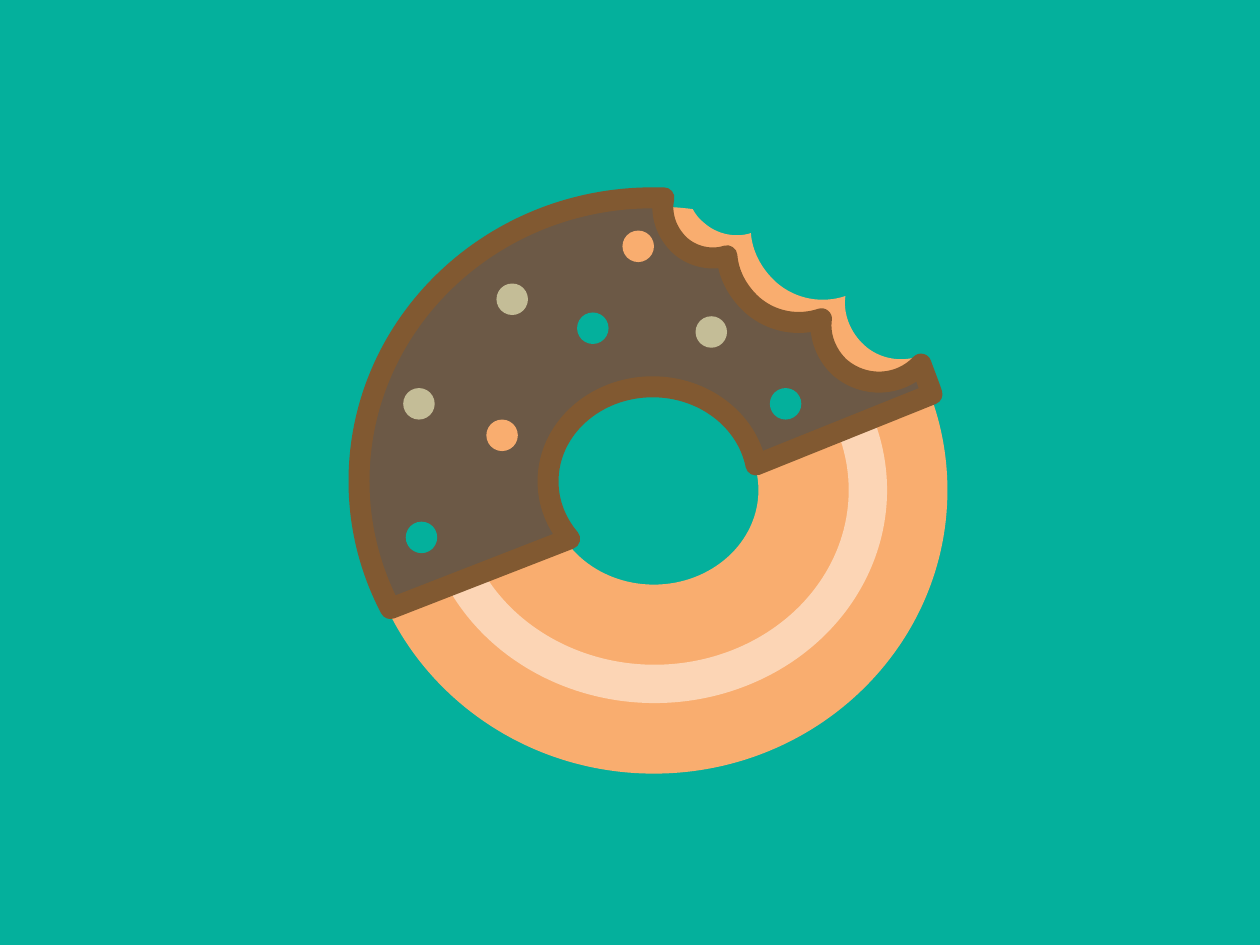
import math
from dataclasses import dataclass
from itertools import pairwise

import pptx
import pptx.dml.color
import pptx.enum.shapes
import pptx.oxml.ns
import pptx.util
from lxml import etree

PX = 9144
SLIDE_WIDTH, SLIDE_HEIGHT = 1000, 750
COLORS = {
    "teal": "04B09C",
    "dough": "F9AD6F",
    "highlight": "FCD5B5",
    "chocolate": "6C5946",
    "rim": "815931",
    "cream": "C4BD97",
}
Point = tuple[float, float]
Segment = tuple[Point, ...]


@dataclass
class Frame:
    left: int
    top: int
    width: int
    height: int


@dataclass
class Contour:
    start: Point
    segments: list[Segment]


@dataclass
class Sprinkle:
    left: int
    top: int
    color: str


OUTER, HOLE = (233, 225), (83, 75)
DOUGH_CENTER, GLAZE_CENTER = (519, 389), (518, 382)
DOUGH_FRAME = Frame(286, 164, 467, 450)
GLAZE_FRAME = Frame(248, 163, 464, 244)
GLAZE_ANGLE = -21.6
BITES: list[Segment] = [
    ((569, 186), (584, 189), (596, 185)),
    ((597, 199), (604, 213), (616, 224)),
    ((632, 238), (653, 241), (671, 235)),
    ((669, 249), (675, 264), (686, 274)),
]
GLAZE_BITE_SHIFT = (-19, 18)
SPRINKLE_SIZE = 25
SPRINKLES = [
    Sprinkle(394, 225, "cream"),
    Sprinkle(611, 308, "teal"),
    Sprinkle(322, 414, "teal"),
    Sprinkle(494, 183, "dough"),
    Sprinkle(320, 308, "cream"),
    Sprinkle(386, 333, "dough"),
    Sprinkle(458, 248, "teal"),
    Sprinkle(552, 251, "cream"),
]


def emu(length: float) -> int:
    return round(length * PX)


def rgb(name: str) -> pptx.dml.color.RGBColor:
    return pptx.dml.color.RGBColor.from_string(COLORS[name])


def arc(center: Point, radii: Point, *degrees: float) -> list[Segment]:
    segments = []
    for start, end in pairwise(map(math.radians, degrees)):
        reach = 4 / 3 * math.tan((end - start) / 4)
        circle = (
            (math.cos(start) - reach * math.sin(start), math.sin(start) + reach * math.cos(start)),
            (math.cos(end) + reach * math.sin(end), math.sin(end) - reach * math.cos(end)),
            (math.cos(end), math.sin(end)),
        )
        segments.append(tuple(
            (center[0] + radii[0] * x, center[1] + radii[1] * y) for x, y in circle
        ))
    return segments


def shift(segments: list[Segment], offset: Point) -> list[Segment]:
    return [tuple((x + offset[0], y + offset[1]) for x, y in s) for s in segments]


def rotate(point: Point, frame: Frame, degrees: float) -> Point:
    cos, sin = math.cos(math.radians(degrees)), math.sin(math.radians(degrees))
    middle_x, middle_y = frame.left + frame.width / 2, frame.top + frame.height / 2
    x, y = point[0] - middle_x, point[1] - middle_y
    return middle_x + x * cos - y * sin, middle_y + x * sin + y * cos


def paint(shape, color: str) -> None:
    shape.shadow.inherit = False
    shape.fill.solid()
    shape.fill.fore_color.rgb = rgb(color)
    shape.line.fill.background()


def add_command(geometry, name: str, points: Segment, frame: Frame) -> None:
    command = etree.SubElement(geometry, pptx.oxml.ns.qn(name))
    for x, y in points:
        etree.SubElement(
            command, pptx.oxml.ns.qn("a:pt"),
            x=str(emu(x - frame.left)), y=str(emu(y - frame.top)),
        )


def add_outline(shapes, contours: list[Contour], frame: Frame, color: str):
    builder = shapes.build_freeform(emu(frame.left), emu(frame.top), scale=1.0)
    builder.add_line_segments([(emu(frame.left + frame.width), emu(frame.top + frame.height))])
    shape = builder.convert_to_shape()
    geometry = next(shape._element.iter(pptx.oxml.ns.qn("a:path")))
    for command in list(geometry):
        geometry.remove(command)
    for contour in contours:
        add_command(geometry, "a:moveTo", (contour.start,), frame)
        for segment in contour.segments:
            name = "a:cubicBezTo" if len(segment) == 3 else "a:lnTo"
            add_command(geometry, name, segment, frame)
        add_command(geometry, "a:close", (), frame)
    paint(shape, color)
    return shape


def add_preset(shapes, kind, frame: Frame, color: str):
    lengths = (frame.left, frame.top, frame.width, frame.height)
    shape = shapes.add_shape(kind, *map(emu, lengths))
    paint(shape, color)
    return shape


def add_dough(shapes) -> None:
    hole = Contour((519, 314), arc(DOUGH_CENTER, HOLE, -90, -180, -270, -360, -450))
    edge = Contour(
        (519, 164),
        arc(DOUGH_CENTER, OUTER, -90, -82.4)
        + [((552, 170), (555, 174), (559, 177))]
        + BITES
        + [((697, 284), (712, 287), (725, 284))]
        + arc(DOUGH_CENTER, OUTER, -27.8, 0, 90, 180, 270),
    )
    add_outline(shapes, [hole, edge], DOUGH_FRAME, "dough")


def add_glaze(shapes) -> None:
    segments = (
        [((527, 157),), ((524, 170), (529, 185), (540, 195))]
        + shift(BITES, GLAZE_BITE_SHIFT)
        + [((686, 308), (714, 307), (731, 289))]
        + arc(GLAZE_CENTER, OUTER, -24.3, -17.9)
        + [((600, 369),)]
        + arc(GLAZE_CENTER, HOLE, -10, -90, -180, -217.5)
        + [((310, 483),)]
        + arc(GLAZE_CENTER, OUTER, 153.3, 180, 270)
    )
    edge = Contour(
        rotate((518, 157), GLAZE_FRAME, -GLAZE_ANGLE),
        [tuple(rotate(p, GLAZE_FRAME, -GLAZE_ANGLE) for p in s) for s in segments],
    )
    glaze = add_outline(shapes, [edge], GLAZE_FRAME, "chocolate")
    glaze.rotation = GLAZE_ANGLE
    glaze.line.color.rgb = rgb("rim")
    glaze.line.width = pptx.util.Pt(12)
    line = glaze.line._get_or_add_ln()
    line.set("cap", "rnd")
    etree.SubElement(line, pptx.oxml.ns.qn("a:round"))


def main() -> None:
    deck = pptx.Presentation()
    deck.slide_width, deck.slide_height = emu(SLIDE_WIDTH), emu(SLIDE_HEIGHT)
    page = deck.slides.add_slide(deck.slide_layouts[6])
    page.background.fill.solid()
    page.background.fill.fore_color.rgb = rgb("teal")

    shapes = page.shapes.add_group_shape().shapes
    kinds = pptx.enum.shapes.MSO_SHAPE
    add_dough(shapes)
    highlight = add_preset(shapes, kinds.DONUT, Frame(335, 220, 369, 338), "highlight")
    highlight.adjustments[0] = 0.09
    add_glaze(shapes)
    for sprinkle in SPRINKLES:
        frame = Frame(sprinkle.left, sprinkle.top, SPRINKLE_SIZE, SPRINKLE_SIZE)
        add_preset(shapes, kinds.OVAL, frame, sprinkle.color)
    deck.save("out.pptx")


if __name__ == "__main__":
    main()
